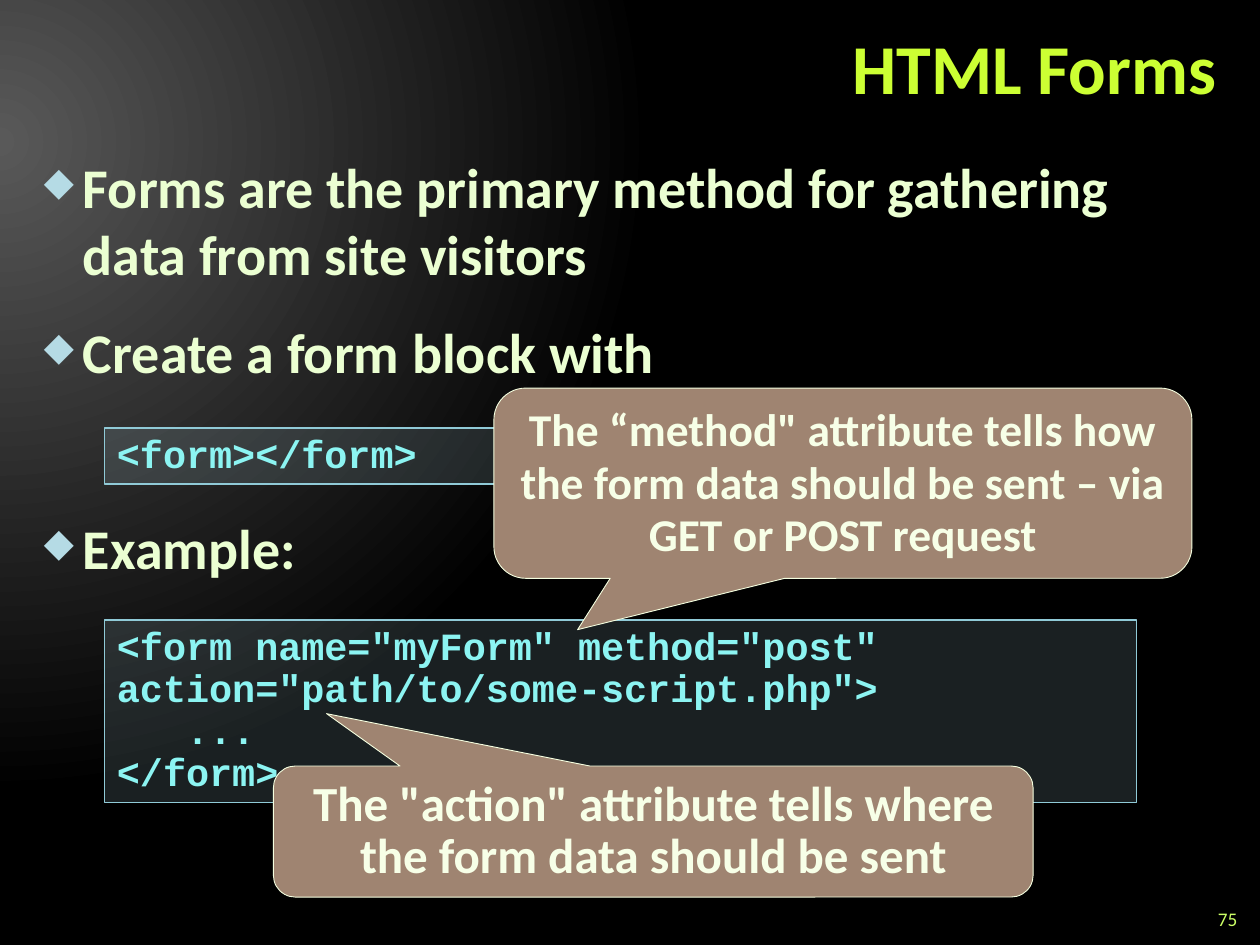
from typing import NamedTuple

import lxml.etree
import pptx
import pptx.dml.color
import pptx.enum.shapes
import pptx.enum.text
import pptx.oxml
import pptx.oxml.ns
import pptx.util

Inches = pptx.util.Inches
Pt = pptx.util.Pt
Align = pptx.enum.text.PP_ALIGN
Anchor = pptx.enum.text.MSO_ANCHOR
Kind = pptx.enum.shapes.MSO_SHAPE
qn = pptx.oxml.ns.qn
NS = pptx.oxml.ns.nsdecls("a")


class Box(NamedTuple):
    left: float
    top: float
    width: float
    height: float


class Code(NamedTuple):
    box: Box
    lines: list[str]


class Callout(NamedTuple):
    box: Box
    tip: tuple[float, float]
    text: str
    size: int


CODES = [
    Code(Box(0.83, 3.4, 8.19, 0.44), ["<form></form>"]),
    Code(Box(0.83, 4.92, 8.19, 1.45), [
        '<form name="myForm" method="post" action="path/to/some-script.php">',
        "   ...",
        "</form>",
    ]),
]
CALLOUTS = [
    Callout(Box(2.17, 6.08, 6.03, 1.04), (-0.43, -0.9),
            'The "action" attribute tells where the form data should be sent', 28),
    Callout(Box(3.92, 3.08, 5.54, 1.51), (-0.38, 0.77),
            'The “method" attribute tells how the form data should be sent'
            ' – via GET or POST request', 26),
]
# Bullet text and the space before it; the last leaves room for a code box
BULLETS = [
    ("Forms are the primary method for gathering data from site visitors", 0),
    ("Create a form block with", 12),
    ("Example:", 68),
]


def rgb(code: str) -> pptx.dml.color.RGBColor:
    return pptx.dml.color.RGBColor.from_string(code)


def place(box: Box) -> list[int]:
    return [Inches(side) for side in box]


def write(para, text: str, *, size: float, color: str, font: str = "Calibri",
          bold: bool = True, align=Align.LEFT, pitch: float | None = None,
          before: float = 0, after: float = 0) -> None:
    para.alignment = align
    para.space_before, para.space_after = Pt(before), Pt(after)
    if pitch:
        para.line_spacing = Pt(pitch)
    run = para.add_run()
    run.text = text
    run.font.name, run.font.size, run.font.bold = font, Pt(size), bold
    run.font.color.rgb = rgb(color)


def add_bullet(para) -> None:
    props = para._p.get_or_add_pPr()
    props.set("marL", str(Inches(0.31)))
    props.set("indent", str(-Inches(0.31)))
    for xml in (f'<a:buClr {NS}><a:srgbClr val="B5DBE5"/></a:buClr>',
                f'<a:buSzPct {NS} val="70000"/>',
                f'<a:buChar {NS} char="◆"/>'):
        props.append(pptx.oxml.parse_xml(xml))


def next_para(frame, index: int):
    return frame.add_paragraph() if index else frame.paragraphs[0]


def add_text(slide, box: Box, anchor=Anchor.TOP):
    frame = slide.shapes.add_textbox(*place(box)).text_frame
    frame.word_wrap = True
    frame.vertical_anchor = anchor
    return frame


def add_panel(slide, kind, box: Box, fill: str, line: str, width: float):
    shape = slide.shapes.add_shape(kind, *place(box))
    shape.shadow.inherit = False
    shape.fill.solid()
    shape.fill.fore_color.rgb = rgb(fill)
    shape.line.color.rgb = rgb(line)
    shape.line.width = Pt(width)
    shape.text_frame.word_wrap = True
    shape.text_frame.vertical_anchor = Anchor.TOP
    return shape


def add_code(slide, code: Code) -> None:
    shape = add_panel(slide, Kind.RECTANGLE, code.box, "B5DBE5", "90CAD7", 1)
    tint = shape._element.spPr.find(qn("a:solidFill")).find(qn("a:srgbClr"))
    lxml.etree.SubElement(tint, qn("a:alpha"), val="15000")
    for index, line in enumerate(code.lines):
        write(next_para(shape.text_frame, index), line, size=22,
              color="8CF4F2", font="Courier New", pitch=24)


def add_callout(slide, note: Callout) -> None:
    shape = add_panel(slide, Kind.ROUNDED_RECTANGULAR_CALLOUT, note.box,
                      "9F8471", "F5FFE0", 0.5)
    shape.adjustments[0], shape.adjustments[1] = note.tip
    write(shape.text_frame.paragraphs[0], note.text, size=note.size,
          color="F7FFE7", align=Align.CENTER, pitch=30)


def paint_back(slide) -> None:
    slide.background.fill.gradient()
    old = next(slide._element.iter(qn("a:gradFill")))
    old.getparent().replace(old, pptx.oxml.parse_xml(
        f'<a:gradFill {NS} rotWithShape="1"><a:gsLst>'
        '<a:gs pos="0"><a:srgbClr val="595959"/></a:gs>'
        '<a:gs pos="83000"><a:srgbClr val="000000"/></a:gs></a:gsLst>'
        '<a:path path="circle"><a:fillToRect l="20000" t="30000" r="135000"'
        ' b="100000"/></a:path></a:gradFill>'))


def main() -> None:
    deck = pptx.Presentation()
    deck.slide_width, deck.slide_height = Inches(10), Inches(7.5)
    slide = deck.slides.add_slide(deck.slide_layouts[6])
    paint_back(slide)

    # Title
    title = add_text(slide, Box(2, 0.08, 7.75, 1), Anchor.MIDDLE)
    write(title.paragraphs[0], "HTML Forms", size=40, color="CCFF33",
          align=Align.RIGHT, pitch=40)

    # Bullets
    body = add_text(slide, Box(0.25, 1.17, 9.5, 6.17))
    for index, (text, before) in enumerate(BULLETS):
        para = next_para(body, index)
        write(para, text, size=32, color="EBFFD2", pitch=38,
              before=before, after=6)
        add_bullet(para)

    # Page number
    page = add_text(slide, Box(9.42, 7.17, 0.5, 0.25), Anchor.MIDDLE)
    write(page.paragraphs[0], "75", size=11, color="CCFF66", bold=False,
          align=Align.RIGHT)

    # Code boxes, then the callouts over them
    for code in CODES:
        add_code(slide, code)
    for note in CALLOUTS:
        add_callout(slide, note)

    deck.save("out.pptx")


if __name__ == "__main__":
    main()
